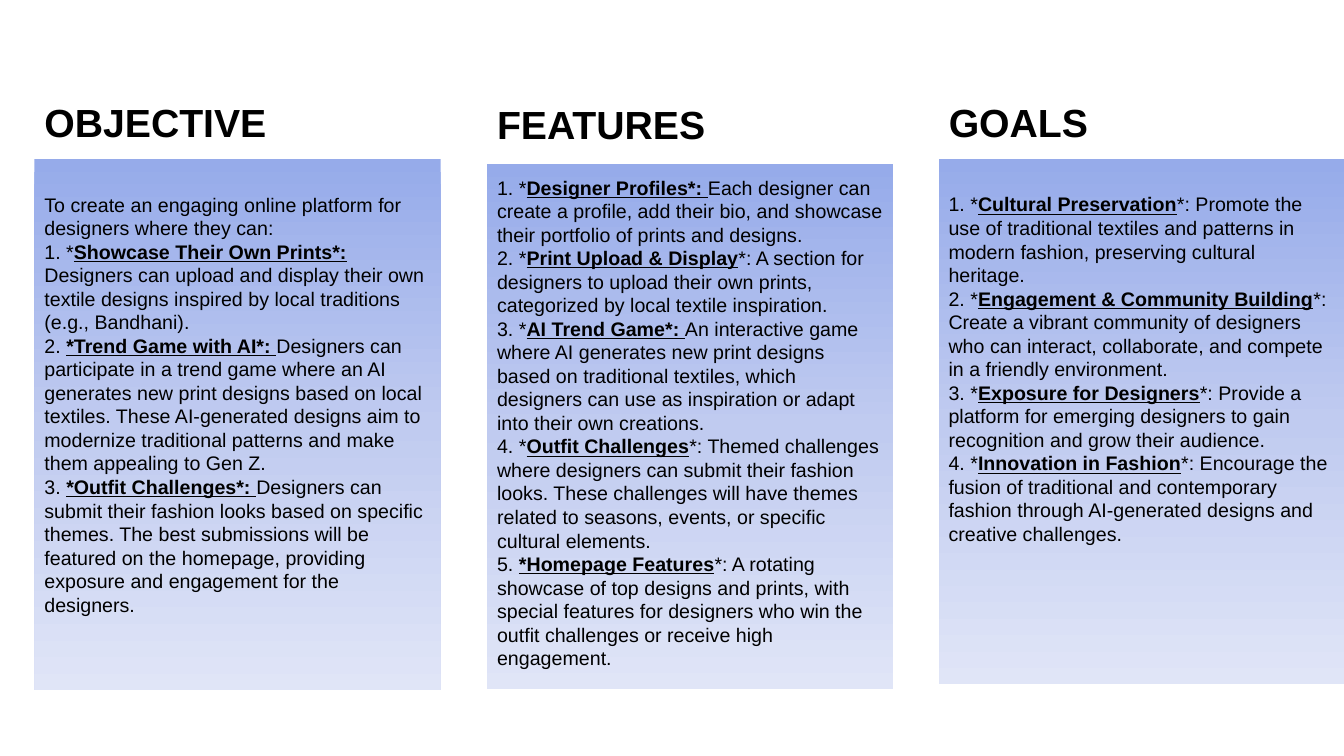
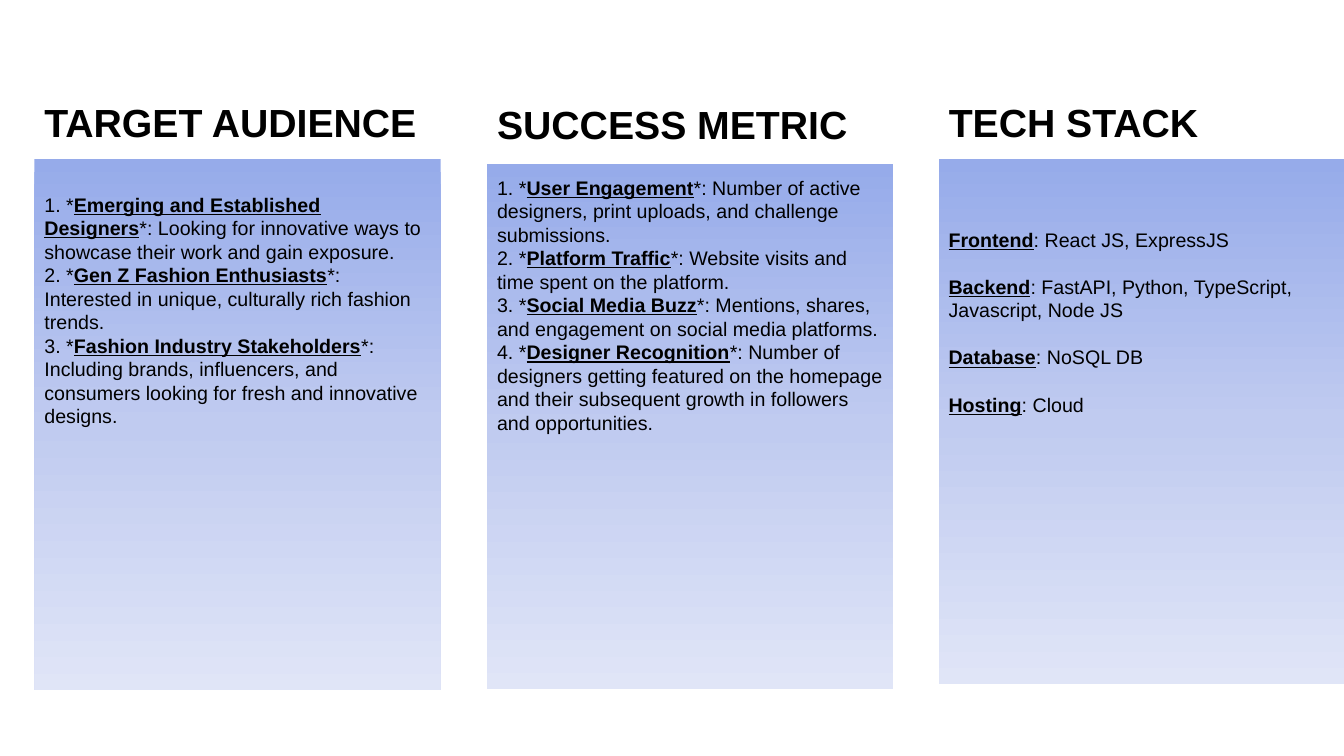
"""Build two three-column slides that outline a fashion design platform."""
from lxml.etree import SubElement
from pptx import Presentation
from pptx.dml.color import RGBColor
from pptx.enum.shapes import MSO_SHAPE
from pptx.enum.text import MSO_ANCHOR, MSO_AUTO_SIZE, PP_ALIGN
from pptx.oxml.ns import qn
from pptx.util import Inches, Pt

BLACK = RGBColor(0x00, 0x00, 0x00)
PANEL_TOP = RGBColor(0x96, 0xAB, 0xEA)
PANEL_BOTTOM = RGBColor(0xE0, 0xE5, 0xF7)
PANEL_MIDDLE = RGBColor(0xC0, 0xCB, 0xF0)
FONT = "Arial"
COLUMN_LEFT, COLUMN_STEP, COLUMN_WIDTH = 0.34, 4.485, 4.03
HEADING_TOPS = [0.93, 0.94, 0.93]
PANELS = [(1.58, 5.27), (1.63, 5.21), (1.58, 5.21)]

SLIDES = [
    [
        ("OBJECTIVE", 1.86, 0, [
            "To create an engaging online platform for designers where they can:",
            "1. *|Showcase Their Own Prints*: |Designers can upload and display their own "
            "textile designs inspired by local traditions (e.g., Bandhani).",
            "2. |*Trend Game with AI*: |Designers can participate in a trend game where an AI "
            "generates new print designs based on local textiles. These AI-generated designs "
            "aim to modernize traditional patterns and make them appealing to Gen Z.",
            "3. |*Outfit Challenges*: |Designers can submit their fashion looks based on "
            "specific themes. The best submissions will be featured on the homepage, "
            "providing exposure and engagement for the designers.",
        ]),
        ("FEATURES", 1.69, 0, [
            "1. *|Designer Profiles*: |Each designer can create a profile, add their bio, and "
            "showcase their portfolio of prints and designs.",
            "2. *|Print Upload & Display|*: A section for designers to upload their own "
            "prints, categorized by local textile inspiration.",
            "3. *|AI Trend Game*: |An interactive game where AI generates new print designs "
            "based on traditional textiles, which designers can use as inspiration or adapt "
            "into their own creations.",
            "4. *|Outfit Challenges|*: Themed challenges where designers can submit their "
            "fashion looks. These challenges will have themes related to seasons, events, or "
            "specific cultural elements.",
            "5. |*Homepage Features|*: A rotating showcase of top designs and prints, with "
            "special features for designers who win the outfit challenges or receive high "
            "engagement.",
        ]),
        ("GOALS", 1.86, 0, [
            "1. *|Cultural Preservation|*: Promote the use of traditional textiles and "
            "patterns in modern fashion, preserving cultural heritage.",
            "2. *|Engagement & Community Building|*: Create a vibrant community of designers "
            "who can interact, collaborate, and compete in a friendly environment.",
            "3. *|Exposure for Designers|*: Provide a platform for emerging designers to gain "
            "recognition and grow their audience.",
            "4. *|Innovation in Fashion|*: Encourage the fusion of traditional and "
            "contemporary fashion through AI-generated designs and creative challenges.",
        ]),
    ],
    [
        ("TARGET AUDIENCE", 1.86, 0, [
            "1. *|Emerging and Established Designers|*: Looking for innovative ways to "
            "showcase their work and gain exposure.",
            "2. *|Gen Z Fashion Enthusiasts|*: Interested in unique, culturally rich fashion "
            "trends.",
            "3. *|Fashion Industry Stakeholders|*: Including brands, influencers, and "
            "consumers looking for fresh and innovative designs.",
        ]),
        ("SUCCESS METRIC", 1.69, 0, [
            "1. *|User Engagement|*: Number of active designers, print uploads, and challenge "
            "submissions.",
            "2. *|Platform Traffic|*: Website visits and time spent on the platform.",
            "3. *|Social Media Buzz|*: Mentions, shares, and engagement on social media "
            "platforms.",
            "4. *|Designer Recognition|*: Number of designers getting featured on the homepage "
            "and their subsequent growth in followers and opportunities.",
        ]),
        ("TECH STACK", 2.21, 16.8, [
            "|Frontend|: React JS, ExpressJS",
            "|Backend|: FastAPI, Python, TypeScript, Javascript, Node JS",
            "|Database|: NoSQL DB",
            "|Hosting|: Cloud",
        ]),
    ],
]


def place(box, left, top, height):
    """Set the position and the frame of a text box."""
    box.left, box.top = Inches(left), Inches(top)
    box.width, box.height = Inches(COLUMN_WIDTH), Inches(height)
    frame = box.text_frame
    frame.word_wrap = True
    frame.auto_size = MSO_AUTO_SIZE.NONE
    frame.vertical_anchor = MSO_ANCHOR.TOP
    frame.margin_left = frame.margin_right = Inches(0.1)
    frame.margin_top = frame.margin_bottom = Inches(0.05)


def write(para, text, size, bold, gap):
    """Fill a paragraph, with every second part of the text as a label."""
    properties = para._p.get_or_add_pPr()
    properties.set("marL", "0")
    properties.set("indent", "0")
    para.alignment = PP_ALIGN.LEFT
    para.space_before = Pt(gap)
    SubElement(properties, qn("a:buNone"))
    para.font.name = FONT
    para.font.size = Pt(size)
    para.font.bold = bold
    para.font.color.rgb = BLACK
    for index, part in enumerate(text.split("|")):
        if part:
            span = para.add_run()
            span.text = part
            if index == 1:
                span.font.bold = span.font.underline = True


deck = Presentation()
deck.slide_width, deck.slide_height = Inches(13.33), Inches(7.5)
comparison_layout = deck.slide_layouts.get_by_name("Comparison")

for columns in SLIDES:
    page = deck.slides.add_slide(comparison_layout)
    holders = {holder.placeholder_format.idx: holder for holder in page.placeholders}
    headings = [holders[0], holders[1], holders[3]]
    bodies = [holders[2], holders[4], page.shapes.add_textbox(0, 0, 0, 0)]

    for number, (heading, body_top, gap, lines) in enumerate(columns):
        left = round(COLUMN_LEFT + number * COLUMN_STEP, 2)
        panel_top, panel_height = PANELS[number]

        panel = page.shapes.add_shape(
            MSO_SHAPE.RECTANGLE, Inches(left), Inches(panel_top),
            Inches(COLUMN_WIDTH), Inches(panel_height))
        panel.shadow.inherit = False
        panel.line.fill.background()
        panel.fill.gradient()
        panel.fill.gradient_angle = 270
        first, last = panel.fill.gradient_stops
        first.position, first.color.rgb = 0, PANEL_TOP
        last.position, last.color.rgb = 1, PANEL_BOTTOM
        stops = panel._element.spPr.find(qn("a:gradFill")).find(qn("a:gsLst"))
        middle = SubElement(stops, qn("a:gs"), pos="50000")
        SubElement(middle, qn("a:srgbClr"), val=str(PANEL_MIDDLE))
        stops.insert(1, middle)
        page.shapes._spTree.insert(2 + number, panel._element)

        place(headings[number], left, HEADING_TOPS[number], 0.57)
        write(headings[number].text_frame.paragraphs[0], heading, 28, True, 0)

        body = bodies[number]
        place(body, left, body_top, panel_top + panel_height - body_top)
        for index, line in enumerate(lines):
            frame = body.text_frame
            para = frame.add_paragraph() if index else frame.paragraphs[0]
            write(para, line, 14, False, gap if index else 0)

deck.save("out.pptx")
